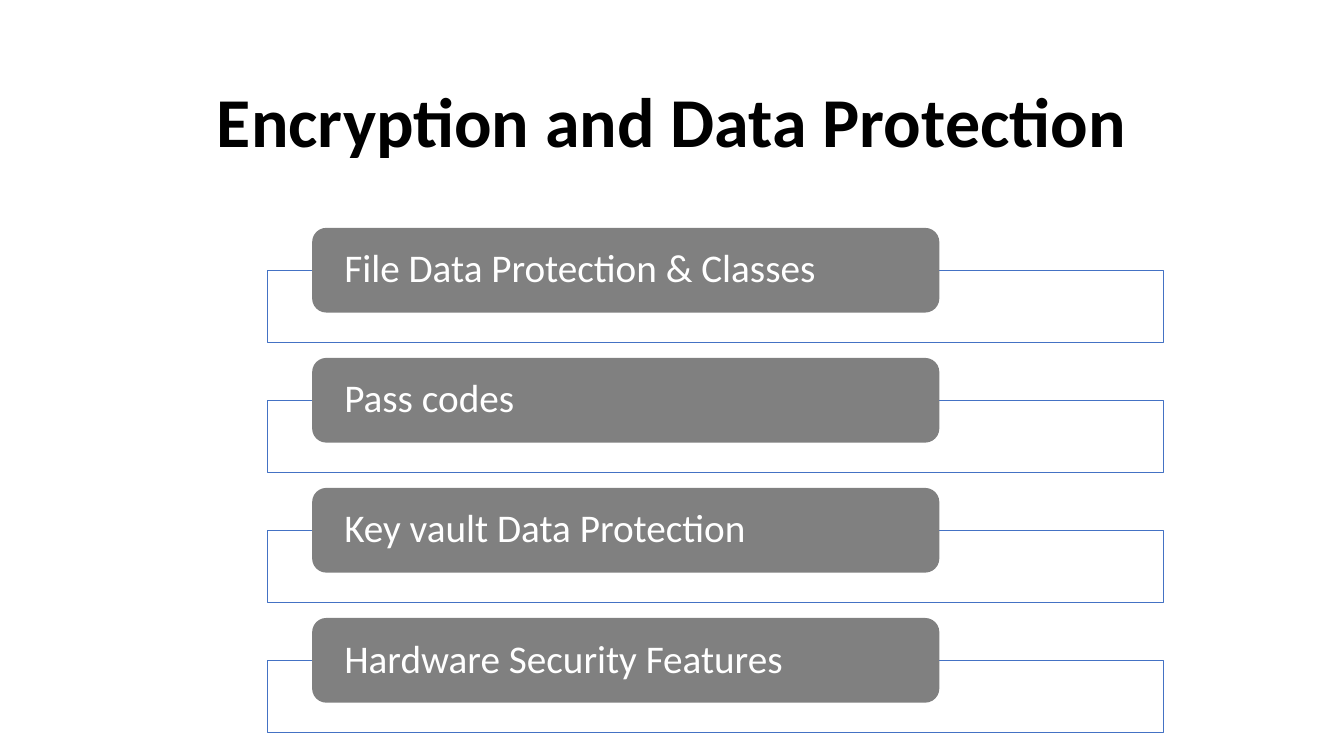
from pptx import Presentation
from pptx.dml.color import RGBColor
from pptx.enum.shapes import MSO_SHAPE
from pptx.enum.text import MSO_ANCHOR, PP_ALIGN
from pptx.util import Pt

BLACK = RGBColor(0x00, 0x00, 0x00)
WHITE = RGBColor(0xFF, 0xFF, 0xFF)
GRAY = RGBColor(0x80, 0x80, 0x80)
BLUE = RGBColor(0x44, 0x72, 0xC4)

TOPICS = [
    "File Data Protection & Classes",
    "Pass codes",
    "Key vault Data Protection",
    "Hardware Security Features",
]
FIRST_TOP = 162.8
ROW_PITCH = 92.88
FRAME_OFFSET = 30.24


def add_panel(preset, left, top, width, height, color):
    panel = slide.shapes.add_shape(preset, Pt(left), Pt(top), Pt(width), Pt(height))
    panel.shadow.inherit = False
    panel.fill.solid()
    panel.fill.fore_color.rgb = color
    return panel


def write_text(shape, text, size, color, alignment):
    """Fill the shape with one vertically centred Calibri paragraph."""
    frame = shape.text_frame
    frame.word_wrap = True
    frame.vertical_anchor = MSO_ANCHOR.MIDDLE
    paragraph = frame.paragraphs[0]
    paragraph.text = text
    paragraph.alignment = alignment
    paragraph.line_spacing = 0.9
    paragraph.font.name = "Calibri"
    paragraph.font.size = Pt(size)
    paragraph.font.color.rgb = color
    return paragraph


presentation = Presentation()
presentation.slide_width = Pt(960)
presentation.slide_height = Pt(540)
slide = presentation.slides.add_slide(presentation.slide_layouts[6])

title = slide.shapes.add_textbox(Pt(66), Pt(36.75), Pt(828), Pt(104.4))
heading = write_text(title, "Encryption and Data Protection", 50, BLACK, PP_ALIGN.CENTER)
heading.font.bold = True

for row, topic in enumerate(TOPICS):
    top = FIRST_TOP + row * ROW_PITCH

    frame = add_panel(MSO_SHAPE.RECTANGLE, 191, top + FRAME_OFFSET, 640, 51.8, WHITE)
    frame.line.color.rgb = BLUE
    frame.line.width = Pt(0.5)

    label = add_panel(MSO_SHAPE.ROUNDED_RECTANGLE, 223, top, 448, 60.5, GRAY)
    label.line.fill.background()
    label.text_frame.margin_left = label.text_frame.margin_right = Pt(20)
    label.text_frame.margin_top = label.text_frame.margin_bottom = 0
    write_text(label, topic, 28, WHITE, PP_ALIGN.LEFT)

presentation.save("out.pptx")
